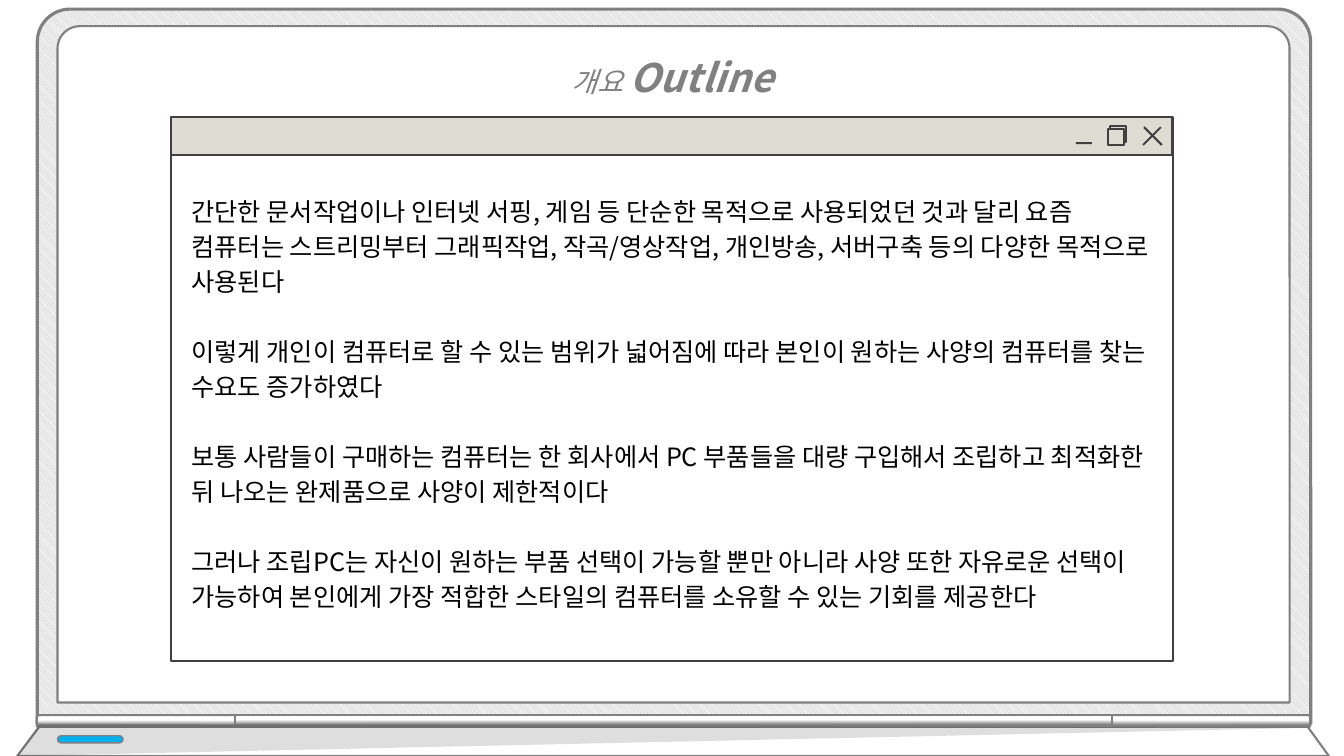
from dataclasses import dataclass
from typing import Optional, Union

from lxml import etree
from pptx import Presentation
from pptx import util as u
from pptx.dml.color import RGBColor
from pptx.enum import dml, shapes, text
from pptx.oxml.ns import qn

FONT = "Noto Sans CJK KR"
GRAY = RGBColor(0x80, 0x80, 0x80)
DARK = RGBColor(0x40, 0x40, 0x40)
WHITE = RGBColor(0xFF, 0xFF, 0xFF)
BLACK = RGBColor(0, 0, 0)
BEIGE = RGBColor(0xDF, 0xDC, 0xD3)
BLUE = RGBColor(0x00, 0xB0, 0xF0)
HATCH = RGBColor(0xBF, 0xBF, 0xBF)
HATCH_BACK = RGBColor(0xF2, 0xF2, 0xF2)

RECT = shapes.MSO_SHAPE.RECTANGLE
PILL = shapes.MSO_SHAPE.ROUNDED_RECTANGLE
TAB = shapes.MSO_SHAPE.ROUND_2_SAME_RECTANGLE

TITLE = (("개요 ", dict(size=u.Pt(20), italic=True, bold=False)),
         ("Outline", dict(size=u.Pt(28), italic=True, bold=True)))
BODY = (
    "간단한 문서작업이나 인터넷 서핑, 게임 등 단순한 목적으로 사용되었던 것과 달리 요즘 컴퓨터는 "
    "스트리밍부터 그래픽작업, 작곡/영상작업, 개인방송, 서버구축 등의 다양한 목적으로 사용된다",
    "이렇게 개인이 컴퓨터로 할 수 있는 범위가 넓어짐에 따라 본인이 원하는 사양의 컴퓨터를 "
    "찾는 수요도 증가하였다",
    "보통 사람들이 구매하는 컴퓨터는 한 회사에서 PC 부품들을 대량 구입해서 조립하고 최적화한 뒤 "
    "나오는 완제품으로 사양이 제한적이다",
    "그러나 조립PC는 자신이 원하는 부품 선택이 가능할 뿐만 아니라 사양 또한 자유로운 선택이 "
    "가능하여 본인에게 가장 적합한 스타일의 컴퓨터를 소유할 수 있는 기회를 제공한다",
)


@dataclass(frozen=True)
class Pattern:
    fore: RGBColor
    back: RGBColor


@dataclass(frozen=True)
class Gradient:
    stops: tuple


@dataclass(frozen=True)
class Part:
    kind: shapes.MSO_SHAPE
    box: tuple
    fill: Union[RGBColor, Pattern, Gradient]
    line: Optional[RGBColor] = None
    weight: float = 1.5
    adj: tuple = ()
    rotation: float = 0
    flip: bool = False


METAL = Gradient(((0.17, GRAY), (0.59, WHITE)))
LAPTOP = (
    Part(TAB, (0.37, 0.09, 12.63, 7.09), Pattern(HATCH, HATCH_BACK), GRAY, 2.25, (0.046, 0)),
    Part(TAB, (0.57, 0.26, 12.22, 6.71), WHITE, GRAY, adj=(0.033, 0)),
    Part(TAB, (1.29, 6.17, 0.12, 1.97), METAL, GRAY, adj=(0.193, 0), rotation=270),
    Part(TAB, (11.95, 6.17, 0.12, 1.97), METAL, GRAY, adj=(0.193, 0), rotation=90, flip=True),
    Part(TAB, (6.62, 2.8, 0.12, 8.7), METAL, GRAY, adj=(0, 0), rotation=270),
)
POWER_LIGHT = Part(PILL, (0.57, 7.3, 0.65, 0.07), BLUE, GRAY, 1, (0.5,))
TITLE_BAR = Part(RECT, (1.7, 1.16, 9.93, 0.38), BEIGE, DARK)
WINDOW = Part(RECT, (1.7, 1.54, 9.93, 5.02), WHITE, DARK)
ICONS = (
    Part(RECT, (10.67, 1.41, 0.16, 0.02), DARK),
    Part(RECT, (11.01, 1.25, 0.16, 0.16), BEIGE, DARK),
    Part(RECT, (10.99, 1.28, 0.16, 0.16), BEIGE, DARK),
    Part(RECT, (11.31, 1.34, 0.25, 0.02), DARK, rotation=45),
    Part(RECT, (11.3, 1.34, 0.25, 0.02), DARK, rotation=315),
)
BASE = ((0.39, 7.21), (12.97, 7.21), (13.18, 7.5), (0.17, 7.5))
BASE_SHADE = ((0.39, 7.18), (0.17, 7.5), (13.02, 7.22))


def set_all(obj, values: dict) -> None:
    for name, value in values.items():
        setattr(obj, name, value)


def place(sp, box: tuple) -> None:
    set_all(sp, dict(zip(("left", "top", "width", "height"), map(u.Inches, box))))


def paint(sp, fill, line: Optional[RGBColor], weight: float = 1.5) -> None:
    if isinstance(fill, Pattern):
        sp.fill.patterned()
        set_all(sp.fill, dict(pattern=dml.MSO_PATTERN.LIGHT_DOWNWARD_DIAGONAL))
        sp.fill.fore_color.rgb = fill.fore
        sp.fill.back_color.rgb = fill.back
    elif isinstance(fill, Gradient):
        sp.fill.gradient()
        sp.fill.gradient_angle = 0
        for stop, (position, color) in zip(sp.fill.gradient_stops, fill.stops):
            stop.position = position
            stop.color.rgb = color
    else:
        sp.fill.solid()
        sp.fill.fore_color.rgb = fill
    if line is None:
        sp.line.fill.background()
    else:
        sp.line.color.rgb = line
        sp.line.width = u.Pt(weight)


def draw_part(s, part: Part) -> None:
    sp = s.shapes.add_shape(part.kind, *map(u.Inches, part.box))
    sp.shadow.inherit = False
    for i, value in enumerate(part.adj):
        sp.adjustments[i] = value
    sp.rotation = part.rotation
    if part.flip:
        sp._element.spPr.find(qn("a:xfrm")).set("flipH", "1")
    paint(sp, part.fill, part.line, part.weight)


def draw_outline(s, points: tuple, fill: RGBColor, line: Optional[RGBColor]):
    corners = [(u.Inches(x), u.Inches(y)) for x, y in points]
    builder = s.shapes.build_freeform(*corners[0])
    builder.add_line_segments(corners[1:], close=True)
    sp = builder.convert_to_shape()
    sp.shadow.inherit = False
    paint(sp, fill, line)
    return sp


def add_run(p, words: str, color: RGBColor, values: dict) -> None:
    r = p.add_run()
    r.text = words
    set_all(r.font, dict(name=FONT, **values))
    r.font.color.rgb = color
    latin = r.font._element.find(qn("a:latin"))
    east_asian = etree.Element(qn("a:ea"), typeface=FONT)
    latin.addnext(east_asian)


def write_title(s) -> None:
    sp = s.shapes.title
    s.shapes._spTree.append(sp._element)
    place(sp, (3.67, 0.25, 6, 0.72))
    tf = sp.text_frame
    set_all(tf, dict(word_wrap=True, vertical_anchor=text.MSO_ANCHOR.TOP,
                     auto_size=text.MSO_AUTO_SIZE.SHAPE_TO_FIT_TEXT))
    p = tf.paragraphs[0]
    set_all(p, dict(alignment=text.PP_ALIGN.CENTER, line_spacing=1.5))
    for words, values in TITLE:
        add_run(p, words, GRAY, values)


def write_body(s) -> None:
    sp = s.placeholders[1]
    s.shapes._spTree.append(sp._element)
    place(sp, WINDOW.box)
    paint(sp, WINDOW.fill, WINDOW.line)
    tf = sp.text_frame
    set_all(tf, dict(word_wrap=True, vertical_anchor=text.MSO_ANCHOR.TOP,
                     auto_size=text.MSO_AUTO_SIZE.NONE,
                     margin_left=u.Inches(0.2), margin_right=u.Inches(0.2),
                     margin_top=u.Inches(0.36), margin_bottom=u.Inches(0.05)))
    for i, words in enumerate(BODY):
        p = tf.add_paragraph() if i else tf.paragraphs[0]
        pPr = p._p.get_or_add_pPr()
        set_all(p, dict(alignment=text.PP_ALIGN.LEFT, line_spacing=u.Pt(25),
                        space_before=u.Pt(25 if i else 0), space_after=u.Pt(0)))
        pPr.set("marL", "0")
        pPr.set("indent", "0")
        etree.SubElement(pPr, qn("a:buNone"))
        add_run(p, words, BLACK, dict(size=u.Pt(18)))


def main() -> None:
    prs = Presentation()
    set_all(prs, dict(slide_width=u.Inches(13.33), slide_height=u.Inches(7.5)))
    s = prs.slides.add_slide(prs.slide_layouts[1])
    for part in LAPTOP:
        draw_part(s, part)
    draw_outline(s, BASE, WHITE, GRAY)
    shade = draw_outline(s, BASE_SHADE, BLACK, None)
    color = shade._element.spPr.find(qn("a:solidFill"))[0]
    etree.SubElement(color, qn("a:alpha"), val="13000")
    draw_part(s, POWER_LIGHT)
    write_title(s)
    draw_part(s, TITLE_BAR)
    write_body(s)
    for part in ICONS:
        draw_part(s, part)
    prs.save("out.pptx")


if __name__ == "__main__":
    main()
